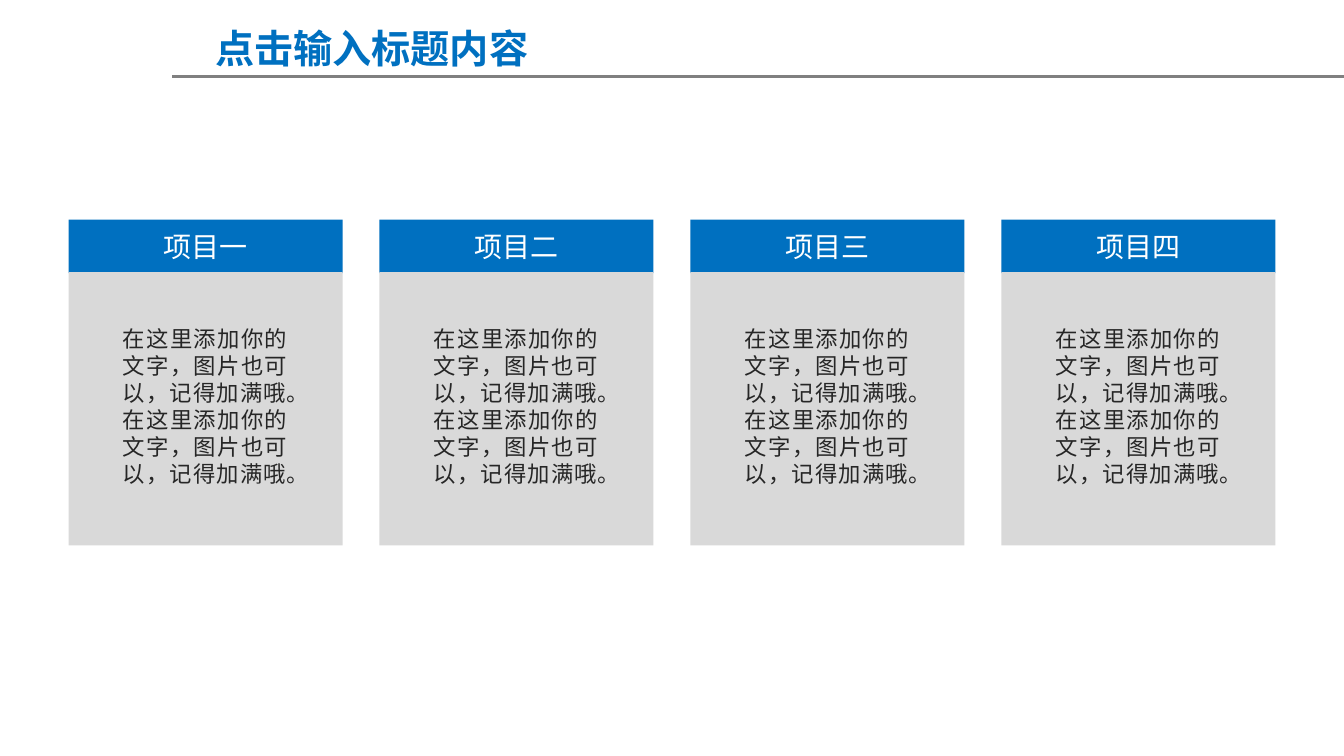
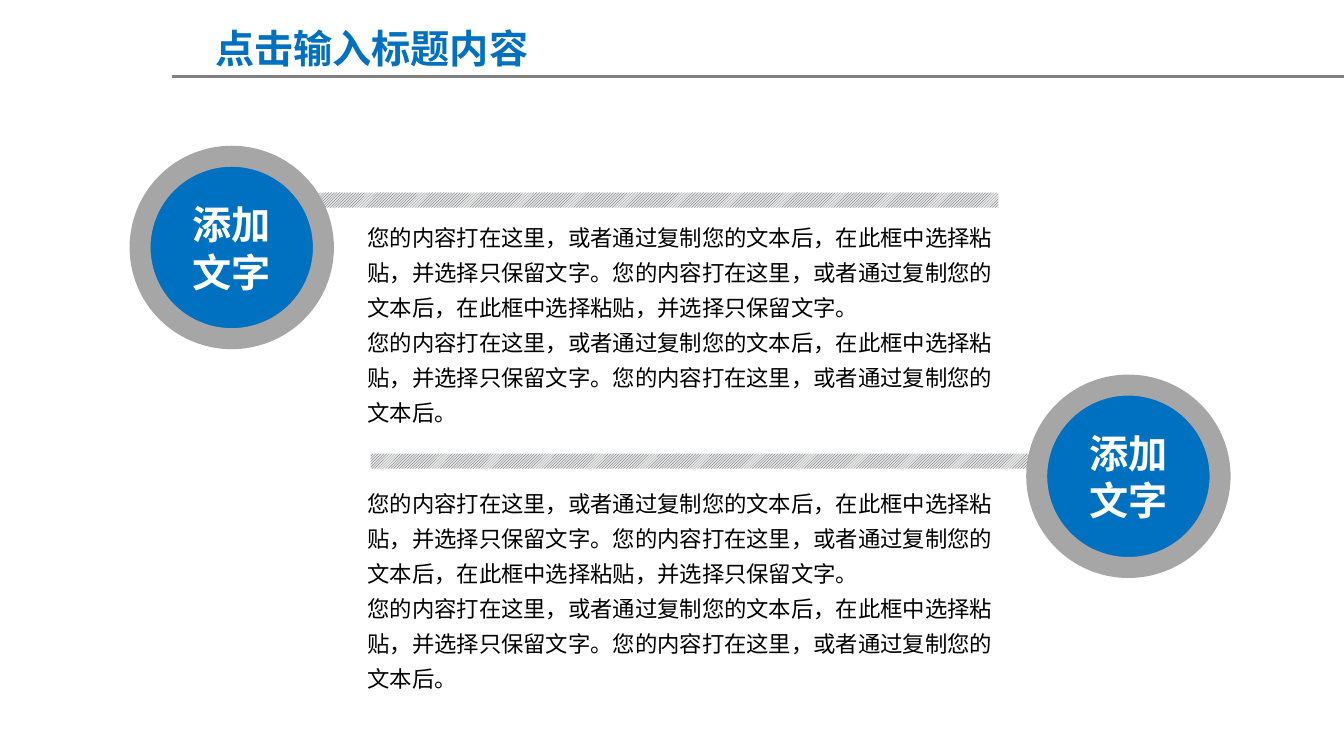
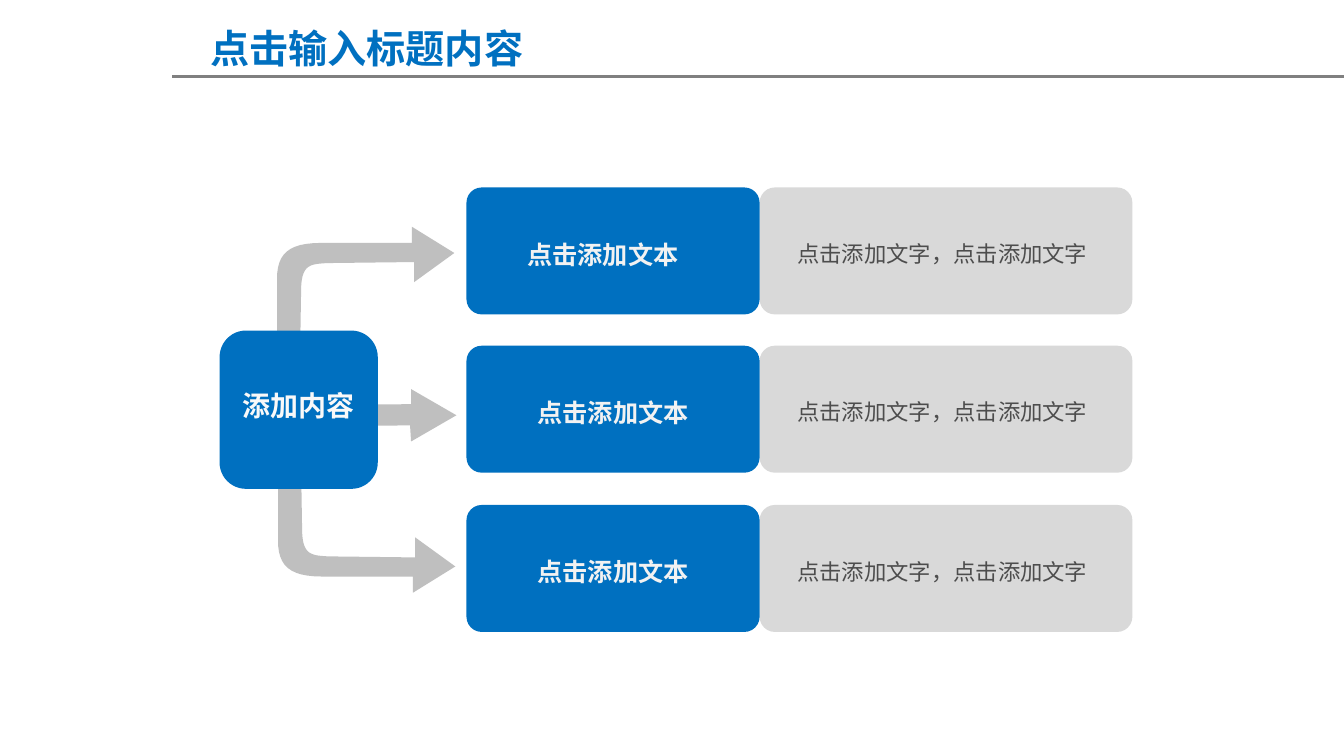
from lxml import etree
from pptx import Presentation
from pptx.dml.color import RGBColor
from pptx.enum import dml, shapes, text as txt
from pptx.oxml import ns
from pptx.util import Inches, Pt

FONT = "Noto Sans CJK SC"
HEX = {
    "blue": "0070C0", "white": "FFFFFF", "pale": "D9D9D9", "ring": "A6A6A6",
    "arrow": "BFBFBF", "rule": "808080", "ink": "262626", "black": "000000",
    "soft": "4D4D4D", "label": "F2F2F2", "hub": "F9F9F9",
    "hatch": "414455", "mist": "E8E8E6",
}
KIND = shapes.MSO_SHAPE
LEFT, MID, JUST = txt.PP_ALIGN.LEFT, txt.PP_ALIGN.CENTER, txt.PP_ALIGN.JUSTIFY
TOP, CENTER = txt.MSO_ANCHOR.TOP, txt.MSO_ANCHOR.MIDDLE

TITLE = "点击输入标题内容"

# Slide 1
CARDS = ["项目一", "项目二", "项目三", "项目四"]
NOTE = "在这里添加你的文字，图片也可以，记得加满哦。" * 2

# Slide 2: circle left and top, bar left and top, text top
PASTE = "您的内容打在这里，或者通过复制您的文本后，在此框中选择粘贴，并选择只保留文字。"
PARAS = [PASTE * 2, PASTE + "您的内容打在这里，或者通过复制您的文本后。"]
BADGE = "添加文字"
BLOCKS = [
    ((1.39, 1.55), (3.05, 1.91), 2.09),
    ((10.29, 3.82), (3.68, 4.5), 4.73),
]

# Slide 3: top of each row and right inset of its label
HUB, LABEL, DETAIL = "添加内容", "点击添加文本", "点击添加文字，点击添加文字"
ROWS = [(1.86, 0.3), (3.43, 0.1), (5.01, 0.1)]
# A pair is a corner; a triple of pairs is a Bezier curve
BEND = [
    (2.98, 4.07), (3, 5.29), ((3.01, 5.51), (3.1, 5.51), (3.26, 5.52)),
    (4.12, 5.53), (4.12, 5.33), (4.52, 5.62), (4.1, 5.88), (4.1, 5.72),
    (3.2, 5.72), ((2.87, 5.72), (2.76, 5.61), (2.76, 5.36)),
    (2.76, 4.04), ((2.8, 3.83), (2.93, 3.85), (2.98, 4.07)),
]
DART = [(2.44, 4.24), (4.07, 4.22), (4.08, 4.38), (4.53, 4.12),
        (4.08, 3.86), (4.08, 4.01), (2.44, 4.02)]
FLIP = 8.13  # sum of the heights of a bend point and its mirror point


def rgb(name):
    return RGBColor.from_string(HEX[name])


def write(shape, paras, size=16, color="black", bold=False, align=MID,
          anchor=CENTER, space=None, inset=(0.1, 0.05, 0.1, 0.05)):
    """Fill a shape with one paragraph per string; inset is left, top, right, bottom."""
    frame = shape.text_frame
    frame.word_wrap = True
    frame.auto_size = txt.MSO_AUTO_SIZE.NONE
    frame.vertical_anchor = anchor
    (frame.margin_left, frame.margin_top,
     frame.margin_right, frame.margin_bottom) = map(Inches, inset)
    for i, words in enumerate(paras):
        para = frame.add_paragraph() if i else frame.paragraphs[0]
        para.alignment = align
        para.line_spacing = space
        run = para.add_run()
        run.text = words
        font = run.font
        font.size, font.bold, font.name = Pt(size), bold, FONT
        font.color.rgb = rgb(color)
        east = etree.SubElement(run.font._element, ns.qn("a:ea"))
        east.set("typeface", FONT)


def paint(shape, fill):
    shape.shadow.inherit = False
    shape.fill.solid()
    shape.fill.fore_color.rgb = rgb(fill)
    shape.line.fill.background()
    return shape


def add(slide, kind, box, fill, adj=None):
    shape = slide.shapes.add_shape(kind, *map(Inches, box))
    if adj is not None:
        shape.adjustments[0] = adj
    return paint(shape, fill)


def trace(steps, count=12):
    """Turn corners and Bezier curves into a list of points."""
    points = []
    for step in steps:
        if len(step) == 2:
            points.append(step)
            continue
        ends = (points[-1], *step)
        for i in range(1, count + 1):
            t = i / count
            parts = ((1 - t) ** 3, 3 * t * (1 - t) ** 2, 3 * t * t * (1 - t), t ** 3)
            points.append(tuple(sum(p * e[k] for p, e in zip(parts, ends))
                                for k in (0, 1)))
    return points


def outline(slide, points, fill):
    first, *rest = [(Inches(x), Inches(y)) for x, y in points]
    form = slide.shapes.build_freeform(*first, scale=1)
    form.add_line_segments(rest, close=True)
    return paint(form.convert_to_shape(), fill)


def start(deck, left=1.89):
    """Add a slide with its title."""
    slide = deck.slides.add_slide(deck.slide_layouts[5])
    title = slide.shapes.title
    title.left, title.top, title.width, title.height = map(
        Inches, (left, 0.19, 3.6, 0.57))
    write(title, [TITLE], size=28, color="blue", bold=True)
    return slide


def share(slide):
    """Draw the rule under the title and move it to the layout."""
    y = Inches(0.76)
    rule = slide.shapes.add_connector(
        shapes.MSO_CONNECTOR.STRAIGHT, Inches(1.71), y, Inches(13.34), y)
    rule.line.color.rgb = rgb("rule")
    rule.line.width = Pt(2)
    etree.SubElement(rule.element.spPr, ns.qn("a:effectLst"))
    slide.slide_layout.shapes.element.append(rule.element)


def cards(slide):
    left, right, width = 0.68, 12.66, 2.72
    pitch = (right - left - width) / (len(CARDS) - 1)
    for i, name in enumerate(CARDS):
        x = left + i * pitch
        head = add(slide, KIND.RECTANGLE, (x, 2.18, width, 0.53), "blue")
        write(head, [name], size=20, color="white")
        body = add(slide, KIND.RECTANGLE, (x, 2.7, width, 2.71), "pale")
        write(body, [NOTE], color="ink", align=JUST, anchor=TOP,
              space=Pt(19.2), inset=(0.54, 0.53, 0.55, 0.05))


def blocks(slide):
    for spot, bar, top in BLOCKS:
        band = add(slide, KIND.RECTANGLE, (*bar, 6.86, 0.15), "mist")
        band.fill.patterned()
        band.fill.pattern = dml.MSO_PATTERN.LIGHT_UPWARD_DIAGONAL
        band.fill.fore_color.rgb = rgb("hatch")
        band.fill.back_color.rgb = rgb("mist")
        disc = add(slide, KIND.OVAL, (*spot, 1.82, 1.81), "blue")
        disc.line.color.rgb = rgb("ring")
        disc.line.width = Pt(15)
        write(disc, [BADGE], size=28, color="white", bold=True, space=Pt(34))
        area = slide.shapes.add_textbox(*map(Inches, (3.55, top, 6.46, 2.2)))
        write(area, PARAS, align=LEFT, anchor=TOP, space=Pt(25))


def flow(slide):
    bend = trace(BEND)
    outline(slide, bend, "arrow")
    outline(slide, DART, "arrow")
    outline(slide, [(x - 0.01, FLIP - y) for x, y in bend], "arrow")
    for top, inset in ROWS:
        side = add(slide, KIND.ROUNDED_RECTANGLE, (7.54, top, 3.7, 1.26), "pale", 0.12)
        write(side, [DETAIL], color="soft", align=LEFT, space=1.2,
              inset=(0.33, 0.05, 0.1, 0.05))
        lead = add(slide, KIND.ROUNDED_RECTANGLE, (4.63, top, 2.91, 1.26), "blue", 0.12)
        write(lead, [LABEL], size=18, color="label", bold=True, space=1.2,
              inset=(0.1, 0.05, inset, 0.05))
    hub = add(slide, KIND.ROUNDED_RECTANGLE, (2.18, 3.28, 1.57, 1.57), "blue")
    write(hub, [HUB], size=20, color="hub", bold=True, space=1.2,
          inset=(0.14, 0.05, 0.14, 0.2))


def main():
    deck = Presentation()
    deck.slide_width, deck.slide_height = Inches(13.34), Inches(7.5)
    first = start(deck)
    share(first)
    cards(first)
    blocks(start(deck))
    flow(start(deck, left=1.84))
    deck.save("out.pptx")


if __name__ == "__main__":
    main()
